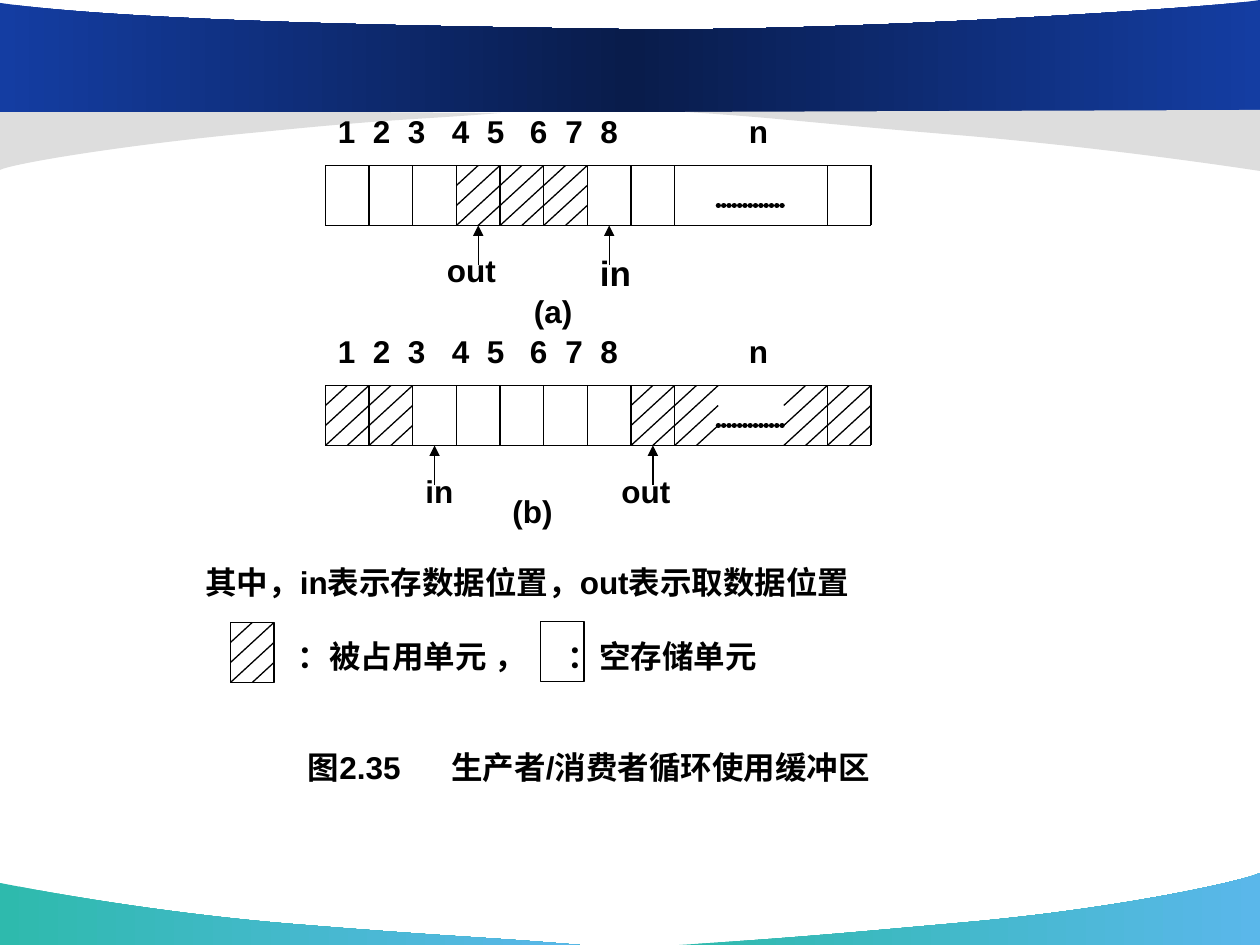
from dataclasses import dataclass

from pptx import Presentation
from pptx.dml.color import RGBColor
from pptx.enum.shapes import MSO_CONNECTOR_TYPE as Connector
from pptx.enum.shapes import MSO_SHAPE as Preset
from pptx.enum.text import PP_ALIGN as Align
from pptx.oxml import parse_xml
from pptx.oxml.ns import nsdecls, qn
from pptx.oxml.xmlchemy import OxmlElement
from pptx.util import Emu, Pt

PX_PER_INCH = 252
WIDTH, HEIGHT = 2520, 1890
BLACK = RGBColor(0x00, 0x00, 0x00)
GRAY = RGBColor(0xDD, 0xDD, 0xDD)
TEAL = RGBColor(0x2E, 0xBA, 0xAD)
SKY = RGBColor(0x5A, 0xB7, 0xEA)
BLUE = RGBColor(0x14, 0x3D, 0xA2)
NAVY = RGBColor(0x09, 0x1C, 0x4B)
FONT = "Arial"

BUFFER_LEFT = 651
COLUMN_PITCH = 87.3
CELL_WIDTH, CELL_HEIGHT = 87, 120
BORDERS = (0, 1, 2, 3, 4, 5, 6, 7, 8, 11.5, 12.5)
DOTS = (9, 10.5)
ARROW_LENGTH = 79


@dataclass(frozen=True)
class Band:
    start: tuple
    curves: tuple
    corners: tuple
    colors: tuple


@dataclass(frozen=True)
class Line:
    text: str
    size: int = 18
    tabs: tuple = ()
    space_before: int = 0


@dataclass(frozen=True)
class Label:
    lines: tuple
    left: int
    top: int
    width: int
    height: int = CELL_HEIGHT


@dataclass(frozen=True)
class Buffer:
    top: int
    occupied: tuple
    pointers: tuple
    labels: tuple


BANDS = (
    Band((1160, 1890), (((968, 1874), (902, 1874), (584, 1848)),
                        ((268, 1822), (2, 1766), (0, 1766))),
         ((0, 1890),), (TEAL, SKY)),
    Band((1358, 1890), (((1548, 1878), (1628, 1872), (1938, 1844)),
                        ((2248, 1816), (2494, 1760), (2520, 1746))),
         ((2520, 1890),), (TEAL, SKY)),
    Band((1002, 226), (((834, 240), (802, 236), (524, 264)),
                       ((244, 290), (22, 328), (0, 340))),
         ((0, 220),), (GRAY,)),
    Band((2520, 0), (((2428, 16), (1646, 66), (1228, 58)),
                     ((808, 52), (254, 42), (0, 6))),
         ((0, 224), (2520, 224)), (BLUE, NAVY, BLUE)),
    Band((1370, 224), (((1562, 236), (1618, 246), (1936, 272)),
                       ((2252, 300), (2518, 342), (2520, 342))),
         ((2520, 220),), (GRAY,)),
)
NUMBERS = Line("1\t2\t3\t4\t5\t6\t7\t8\tn",
               tabs=(70, 140, 228, 298, 384, 455, 525, 822))
BUFFERS = (
    Buffer(331, (3, 4, 5), (3.5, 6.5),
           (Label((Line("out"),), 869, 490, 174),
            Label((Line("in", 20),), 1175, 490, 131),
            Label((Line("(a)"),), 1043, 571, 131))),
    Buffer(771, (0, 1, 7, 8, 10.5, 11.5), (2.5, 7.5),
           (Label((Line("in"),), 826, 931, 131),
            Label((Line("out"),), 1218, 931, 174),
            Label((Line("(b)"),), 1000, 971, 131))),
)
LEGEND = Label((
    Line("其中，in表示存数据位置，out表示取数据位置", tabs=(28,)),
    Line("\t：被占用单元 ，\t：空存储单元", tabs=(185, 725), space_before=72),
    Line("\t图2.35\t生产者/消费者循环使用缓冲区", tabs=(205, 492), space_before=146),
), 386, 1114, 1590, 441)


def px(value: float) -> Emu:
    return Emu(round(value * 914400 / PX_PER_INCH))


def column_x(column: float) -> float:
    return BUFFER_LEFT + column * COLUMN_PITCH


def bend_edges(shape, curve_count: int) -> None:
    edges = list(shape.element.iter(qn("a:lnTo")))
    for index in range(0, curve_count * 3, 3):
        curve = OxmlElement("a:cubicBezTo")
        edges[index].addprevious(curve)
        for edge in edges[index:index + 3]:
            curve.append(edge[0])
            edge.getparent().remove(edge)


def draw_band(shapes, band: Band) -> None:
    points = [point for curve in band.curves for point in curve] + list(band.corners)
    builder = shapes.build_freeform(px(band.start[0]), px(band.start[1]))
    builder.add_line_segments([(px(x), px(y)) for x, y in points], close=True)
    shape = builder.convert_to_shape()
    bend_edges(shape, len(band.curves))
    shape.shadow.inherit = False
    shape.line.fill.background()
    if len(band.colors) == 1:
        shape.fill.solid()
        shape.fill.fore_color.rgb = band.colors[0]
        return
    shape.fill.gradient()
    shape.fill.gradient_angle = 0
    stop_list = next(shape.element.iter(qn("a:gsLst")))
    for _ in band.colors[2:]:
        stop_list.append(parse_xml(
            f'<a:gs {nsdecls("a")} pos="0"><a:srgbClr val="{BLACK}"/></a:gs>'))
    for index, (stop, color) in enumerate(zip(shape.fill.gradient_stops, band.colors)):
        stop.color.rgb = color
        stop.position = index / (len(band.colors) - 1)


def draw_line(shapes, x1: float, y1: float, x2: float, y2: float, width: float = 0.75):
    line = shapes.add_connector(Connector.STRAIGHT, px(x1), px(y1), px(x2), px(y2))
    line.line.color.rgb = BLACK
    line.line.width = Pt(width)
    line.element.spPr.append(OxmlElement("a:effectLst"))
    return line


def draw_arrow(shapes, x: float, tail_y: int, tip_y: int) -> None:
    arrow = draw_line(shapes, x, tail_y, x, tip_y)
    head = OxmlElement("a:tailEnd")
    head.set("type", "triangle")
    arrow.element.spPr.find(qn("a:ln")).append(head)


def draw_dots(shapes, x1: float, x2: float, y: int) -> None:
    dots = draw_line(shapes, x1, y, x2, y, 3)
    outline = dots.element.spPr.find(qn("a:ln"))
    outline.set("cap", "rnd")
    outline.append(parse_xml(
        f'<a:custDash {nsdecls("a")}><a:ds d="100000" sp="1000"/></a:custDash>'))


def draw_hatch(shapes, left: float, top: int) -> None:
    middle, right = left + CELL_WIDTH / 2, left + CELL_WIDTH
    third = CELL_HEIGHT // 3
    draw_line(shapes, middle, top, left, top + third)
    draw_line(shapes, right, top, left, top + 2 * third)
    draw_line(shapes, right, top + third, left, top + CELL_HEIGHT)
    draw_line(shapes, right, top + 2 * third, middle, top + CELL_HEIGHT)


def draw_cell(shapes, left: int, top: int) -> None:
    cell = shapes.add_shape(Preset.RECTANGLE, px(left), px(top),
                            px(CELL_WIDTH), px(CELL_HEIGHT))
    cell.shadow.inherit = False
    cell.fill.background()
    cell.line.color.rgb = BLACK
    cell.line.width = Pt(0.75)


def write_line(paragraph, line: Line) -> None:
    paragraph.text = line.text
    paragraph.alignment = Align.LEFT
    if line.space_before:
        paragraph.space_before = px(line.space_before)
    if line.tabs:
        tab_list = OxmlElement("a:tabLst")
        for position in line.tabs:
            tab = OxmlElement("a:tab")
            tab.set("pos", str(px(position)))
            tab.set("algn", "l")
            tab_list.append(tab)
        paragraph._p.get_or_add_pPr().append(tab_list)
    for run in paragraph.runs:
        run.font.name, run.font.size, run.font.bold = FONT, Pt(line.size), True
        run.font.color.rgb = BLACK


def draw_label(shapes, label: Label) -> None:
    box = shapes.add_textbox(px(label.left), px(label.top), px(label.width), px(label.height))
    frame = box.text_frame
    frame.word_wrap = True
    for index, line in enumerate(label.lines):
        write_line(frame.add_paragraph() if index else frame.paragraphs[0], line)


def draw_buffer(shapes, buffer: Buffer) -> None:
    top, bottom = buffer.top, buffer.top + CELL_HEIGHT
    left, right = column_x(BORDERS[0]), column_x(BORDERS[-1])
    for y in (top, bottom):
        draw_line(shapes, left, y, right, y)
    for column in BORDERS:
        draw_line(shapes, column_x(column), top, column_x(column), bottom)
    for column in buffer.occupied:
        draw_hatch(shapes, column_x(column), top)
    draw_dots(shapes, column_x(DOTS[0]), column_x(DOTS[1]), top + CELL_HEIGHT * 2 // 3)
    for column in buffer.pointers:
        draw_arrow(shapes, column_x(column), bottom + ARROW_LENGTH, bottom)
    draw_label(shapes, Label((NUMBERS,), left, top - CELL_HEIGHT, right - left))
    for label in buffer.labels:
        draw_label(shapes, label)


def main() -> None:
    presentation = Presentation()
    presentation.slide_width, presentation.slide_height = px(WIDTH), px(HEIGHT)
    shapes = presentation.slides.add_slide(presentation.slide_layouts[6]).shapes
    for band in BANDS:
        draw_band(shapes, band)
    for buffer in BUFFERS:
        draw_buffer(shapes.add_group_shape().shapes, buffer)
    draw_label(shapes, LEGEND)
    occupied_key = shapes.add_group_shape().shapes
    draw_cell(occupied_key, 461, 1245)
    draw_hatch(occupied_key, 461, 1245)
    draw_cell(shapes, 1081, 1243)
    presentation.save("out.pptx")


if __name__ == "__main__":
    main()
